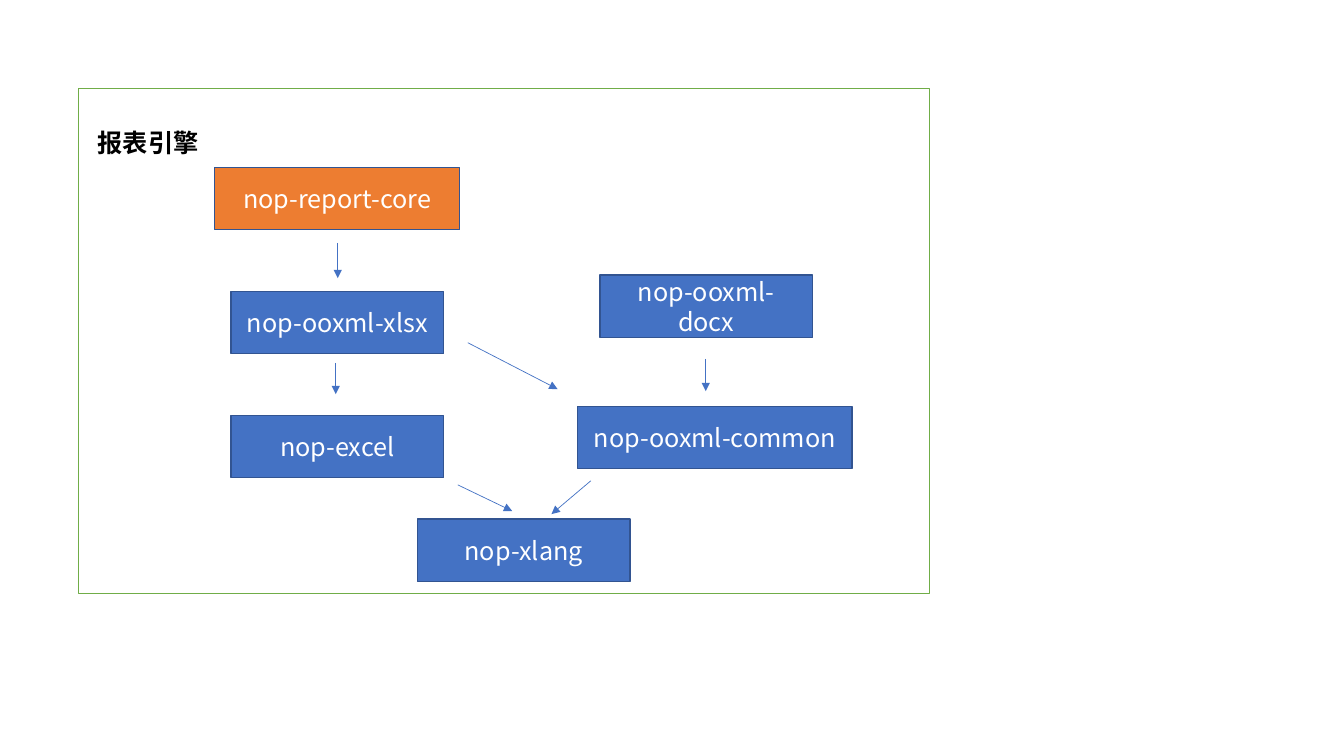
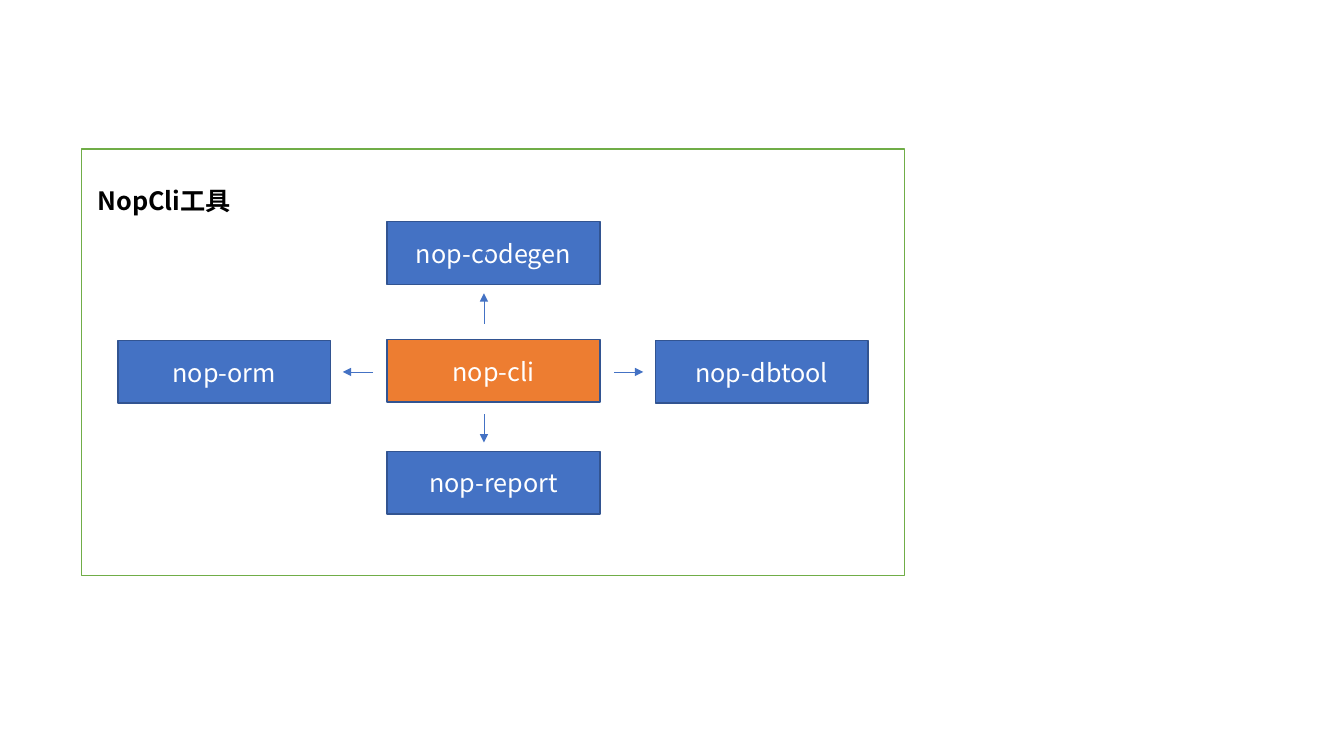
import pptx
import pptx.util
import pptx.dml.color
import pptx.enum.shapes
import pptx.enum.text
import pptx.oxml
import pptx.oxml.ns
from pptx.util import Inches, Pt

COLORS = {name: pptx.dml.color.RGBColor.from_string(value) for name, value in {
    "white": "FFFFFF", "black": "000000", "frame": "70AD47",
    "module": "4472C4", "entry": "ED7D31", "edge": "325491",
}.items()}
FONT = "Noto Sans CJK SC"
BOX_W, BOX_H = 2.11, 0.62
TITLE_LEFT, TITLE_W, TITLE_H = 0.87, 1.8, 0.4
qn = pptx.oxml.ns.qn


def add_box(slide, area, fill, edge):
    """Add a flat rectangle with a one-point outline."""
    box = slide.shapes.add_shape(pptx.enum.shapes.MSO_SHAPE.RECTANGLE, *map(Inches, area))
    box.shadow.inherit = False
    box.fill.solid()
    box.fill.fore_color.rgb = COLORS[fill]
    box.line.color.rgb = COLORS[edge]
    box.line.width = Pt(1)
    return box


def write_label(shape, text, color, bold=False):
    """Write one line of text in the deck's font for Latin and Chinese."""
    shape.text_frame.text = text
    shape.text_frame.word_wrap = True
    run = shape.text_frame.paragraphs[0].runs[0]
    run.font.name = FONT
    run.font.size = Pt(18)
    run.font.bold = bold
    run.font.color.rgb = COLORS[color]
    east_asian = pptx.oxml.parse_xml(
        f'<a:ea {pptx.oxml.ns.nsdecls("a")} typeface="{FONT}"/>')
    run.font._element.find(qn("a:latin")).addnext(east_asian)


# Modules: name, left, top, width, fill. Arrows: start x, y, end x, y.
DIAGRAMS = [
    {
        "title": "报表引擎", "title_top": 1.21,
        "frame": (0.78, 0.88, 8.44, 5.01),
        "modules": [
            ("nop-report-core", 2.13, 1.66, 2.43, "entry"),
            ("nop-ooxml-xlsx", 2.29, 2.89, BOX_W, "module"),
            ("nop-excel", 2.29, 4.12, BOX_W, "module"),
            ("nop-ooxml-docx", 5.95, 2.73, BOX_W, "module"),
            ("nop-ooxml-common", 5.73, 4.03, 2.72, "module"),
            ("nop-xlang", 4.14, 5.15, BOX_W, "module"),
        ],
        "arrows": [
            (3.35, 2.41, 3.35, 2.76), (3.33, 3.6, 3.33, 3.91),
            (4.64, 3.4, 5.53, 3.86), (7, 3.56, 7, 3.88),
            (4.54, 4.81, 5.08, 5.07), (5.86, 4.77, 5.47, 5.1),
        ],
    },
    {
        "title": "NopCli工具", "title_top": 1.79,
        "frame": (0.81, 1.48, 8.16, 4.23),
        "modules": [
            ("nop-codegen", 3.84, 2.2, BOX_W, "module"),
            ("nop-orm", 1.17, 3.38, BOX_W, "module"),
            ("nop-cli", 3.84, 3.37, BOX_W, "entry"),
            ("nop-dbtool", 6.5, 3.38, BOX_W, "module"),
            ("nop-report", 3.84, 4.48, BOX_W, "module"),
        ],
        "arrows": [
            (4.8, 3.21, 4.8, 2.91), (4.8, 4.11, 4.8, 4.39),
            (3.7, 3.69, 3.4, 3.69), (6.09, 3.69, 6.38, 3.69),
            (4.8, 2.3, 4.8, 2.58),
        ],
    },
]

deck = pptx.Presentation()
deck.slide_width, deck.slide_height = Inches(13.33), Inches(7.5)

for diagram in DIAGRAMS:
    slide = deck.slides.add_slide(deck.slide_layouts[6])
    add_box(slide, diagram["frame"], "white", "frame")

    title = slide.shapes.add_textbox(
        *map(Inches, (TITLE_LEFT, diagram["title_top"], TITLE_W, TITLE_H)))
    write_label(title, diagram["title"], "black", bold=True)
    title.text_frame.auto_size = pptx.enum.text.MSO_AUTO_SIZE.SHAPE_TO_FIT_TEXT

    for name, left, top, width, fill in diagram["modules"]:
        module = add_box(slide, (left, top, width, BOX_H), fill, "edge")
        write_label(module, name, "white")
        module.text_frame.vertical_anchor = pptx.enum.text.MSO_ANCHOR.MIDDLE
        module.text_frame.paragraphs[0].alignment = pptx.enum.text.PP_ALIGN.CENTER

    for ends in diagram["arrows"]:
        arrow = slide.shapes.add_connector(
            pptx.enum.shapes.MSO_CONNECTOR.STRAIGHT, *map(Inches, ends))
        arrow.line.color.rgb = COLORS["module"]
        arrow.line.width = Pt(0.5)
        arrow.line._get_or_add_ln().append(pptx.oxml.parse_xml(
            f'<a:tailEnd {pptx.oxml.ns.nsdecls("a")} type="triangle"/>'))
        arrow._element.spPr.append(pptx.oxml.parse_xml(
            f'<a:effectLst {pptx.oxml.ns.nsdecls("a")}/>'))

deck.save("out.pptx")
